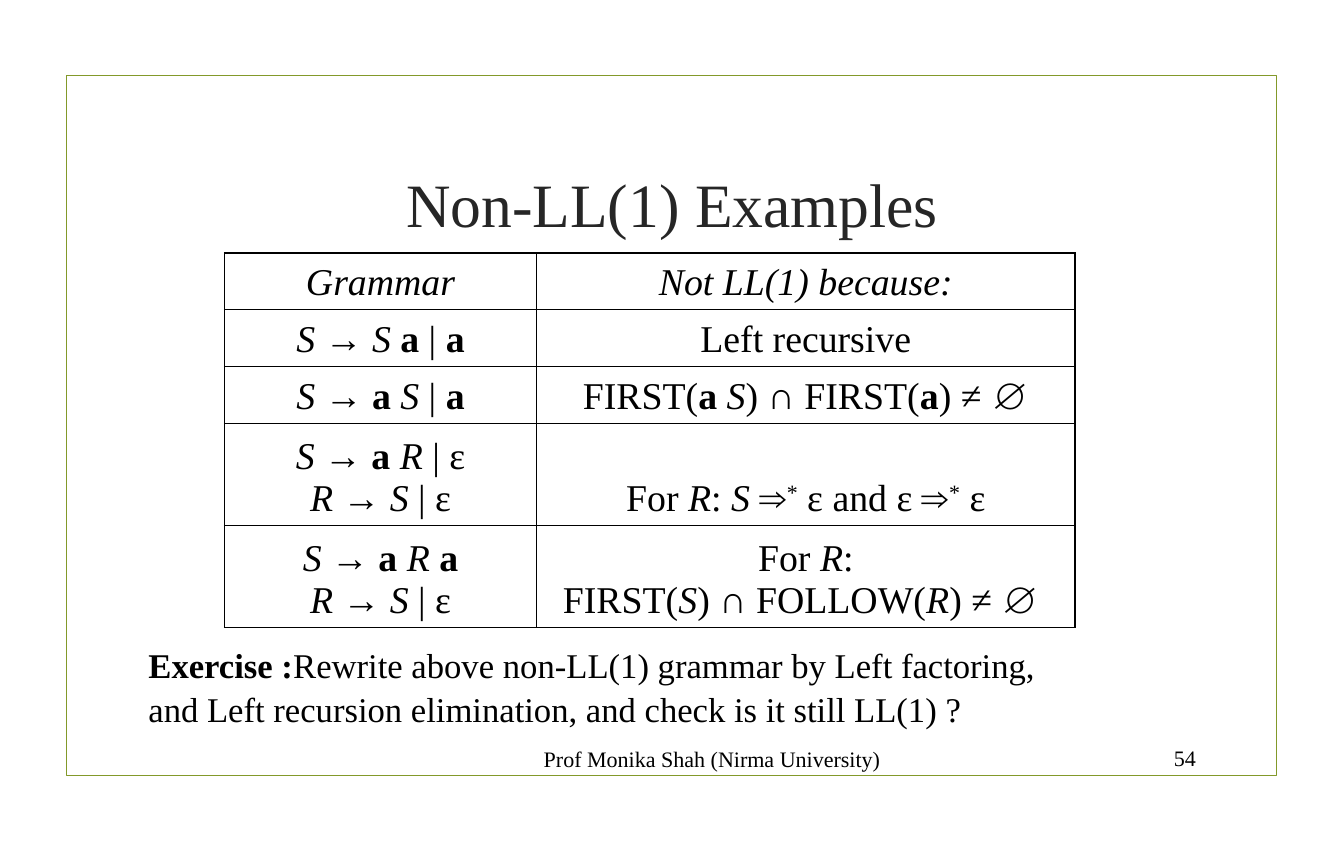
from dataclasses import dataclass

from lxml.etree import SubElement
from pptx import Presentation
from pptx.dml.color import RGBColor
from pptx.enum.shapes import MSO_SHAPE
from pptx.enum.text import MSO_ANCHOR, PP_ALIGN
from pptx.oxml.ns import qn
from pptx.util import Cm, Pt


@dataclass(frozen=True)
class Theme:
    font: str = "Times New Roman"
    ink: str = "000000"
    title_ink: str = "262626"
    frame: str = "83992A"
    title_size: float = 78.2
    table_size: float = 48
    exercise_size: float = 44
    footer_size: float = 28
    frame_line: float = 1.25
    outer_line: float = 2.25
    inner_line: float = 1


class SlideBuilder:
    def __init__(self, slide, theme):
        self.slide = slide
        self.theme = theme

    def frame(self, left, top, width, height):
        shape = self.slide.shapes.add_shape(
            MSO_SHAPE.RECTANGLE, Cm(left), Cm(top), Cm(width), Cm(height))
        shape.shadow.inherit = False
        shape.fill.background()
        shape.line.color.rgb = RGBColor.from_string(self.theme.frame)
        shape.line.width = Pt(self.theme.frame_line)

    def add_runs(self, paragraph, runs, size, color):
        for text, style in runs:
            for number, line in enumerate(text.split("\n")):
                if number:
                    paragraph.add_line_break()
                if line:
                    run = paragraph.add_run()
                    run.text = line
                    run.font.name = self.theme.font
                    run.font.size = Pt(size)
                    run.font.color.rgb = RGBColor.from_string(color)
                    run.font.bold = style == "bold"
                    run.font.italic = style == "italic"
                    if style == "super":
                        run.font._element.set("baseline", "30000")

    def text(self, box, runs, size, color=None, align=PP_ALIGN.LEFT,
             anchor=MSO_ANCHOR.MIDDLE, spacing=1.0):
        shape = self.slide.shapes.add_textbox(*map(Cm, box))
        shape.text_frame.word_wrap = True
        shape.text_frame.vertical_anchor = anchor
        paragraph = shape.text_frame.paragraphs[0]
        paragraph.alignment = align
        paragraph.line_spacing = spacing
        self.add_runs(paragraph, runs, size, color or self.theme.ink)

    def border(self, cell, side, width):
        properties = cell._tc.get_or_add_tcPr()
        line = SubElement(properties, qn(f"a:ln{side}"), w=str(Pt(width)))
        fill = SubElement(line, qn("a:solidFill"))
        SubElement(fill, qn("a:srgbClr"), val=self.theme.ink)

    def table(self, left, top, widths, heights, rows):
        table = self.slide.shapes.add_table(
            len(heights), len(widths), Cm(left), Cm(top),
            Cm(sum(widths)), Cm(sum(heights))).table
        table.first_row = False
        table.horz_banding = False
        for column, width in zip(table.columns, widths):
            column.width = Cm(width)
        for row, height in zip(table.rows, heights):
            row.height = Cm(height)
        last_row, last_column = len(heights) - 1, len(widths) - 1
        for row_index, row in enumerate(rows):
            for column_index, runs in enumerate(row):
                cell = table.cell(row_index, column_index)
                outer = {"L": column_index == 0, "R": column_index == last_column,
                         "T": row_index == 0, "B": row_index == last_row}
                for side, is_outer in outer.items():
                    self.border(cell, side, self.theme.outer_line if is_outer
                                else self.theme.inner_line)
                cell.fill.background()
                cell.margin_left = cell.margin_right = Cm(0.51)
                cell.margin_top = cell.margin_bottom = Cm(0.25)
                cell.vertical_anchor = MSO_ANCHOR.BOTTOM
                paragraph = cell.text_frame.paragraphs[0]
                paragraph.alignment = PP_ALIGN.CENTER
                self.add_runs(paragraph, runs, self.theme.table_size, self.theme.ink)


def plain(text):
    return text, "plain"


def bold(text):
    return text, "bold"


def italic(text):
    return text, "italic"


def raised(text):
    return text, "super"


ARROW = plain("→ ")

GRAMMARS = [
    ([italic("Grammar")], [italic("Not LL(1) because:")]),
    ([italic("S "), ARROW, italic("S "), bold("a"), plain(" | "), bold("a")],
     [plain("Left recursive")]),
    ([italic("S "), ARROW, bold("a "), italic("S "), plain("| "), bold("a")],
     [plain("FIRST("), bold("a "), italic("S"), plain(") ∩ FIRST("), bold("a"),
      plain(") ≠ ∅")]),
    ([italic("S "), ARROW, bold("a "), italic("R"), plain(" | ε\n"),
      italic("R "), ARROW, italic("S "), plain("| ε")],
     [plain("For "), italic("R"), plain(":"), italic(" S "), plain("⇒"), raised("*"),
      plain(" ε and ε ⇒"), raised("*"), plain(" ε")]),
    ([italic("S "), ARROW, bold("a "), italic("R "), bold("a\n"),
      italic("R "), ARROW, italic("S"), plain(" | ε")],
     [plain("For "), italic("R"), plain(":\nFIRST("), italic("S"),
      plain(") ∩ FOLLOW("), italic("R"), plain(") ≠ ∅ ")]),
]


def main():
    theme = Theme()
    presentation = Presentation()
    presentation.slide_width = Cm(60.2)
    presentation.slide_height = Cm(38.1)
    slide = presentation.slides.add_slide(presentation.slide_layouts[6])
    builder = SlideBuilder(slide, theme)

    builder.frame(3, 3.38, 54.18, 31.32)
    builder.text((51.13, 33.17, 2.69, 1.55), [plain("54")],
                 theme.footer_size, align=PP_ALIGN.RIGHT)
    builder.text((6.4, 5.46, 47.42, 7.24), [plain("Non-LL(1) Examples")],
                 theme.title_size, theme.title_ink, PP_ALIGN.CENTER)
    builder.table(10.06, 11.33, [13.97, 24.13], [2.54] * 3 + [4.57] * 2, GRAMMARS)
    builder.text(
        (6.4, 28.63, 42.04, 4.01),
        [bold("Exercise :"),
         plain("Rewrite above non-LL(1) grammar by Left factoring, and Left recursion "
               "elimination, and check is it still LL(1) ?")],
        theme.exercise_size, anchor=MSO_ANCHOR.TOP, spacing=1.05)
    builder.text((23.85, 33.22, 15.82, 1.5),
                 [plain("Prof Monika Shah (Nirma University)")],
                 theme.footer_size, align=PP_ALIGN.RIGHT)
    presentation.save("out.pptx")


if __name__ == "__main__":
    main()
